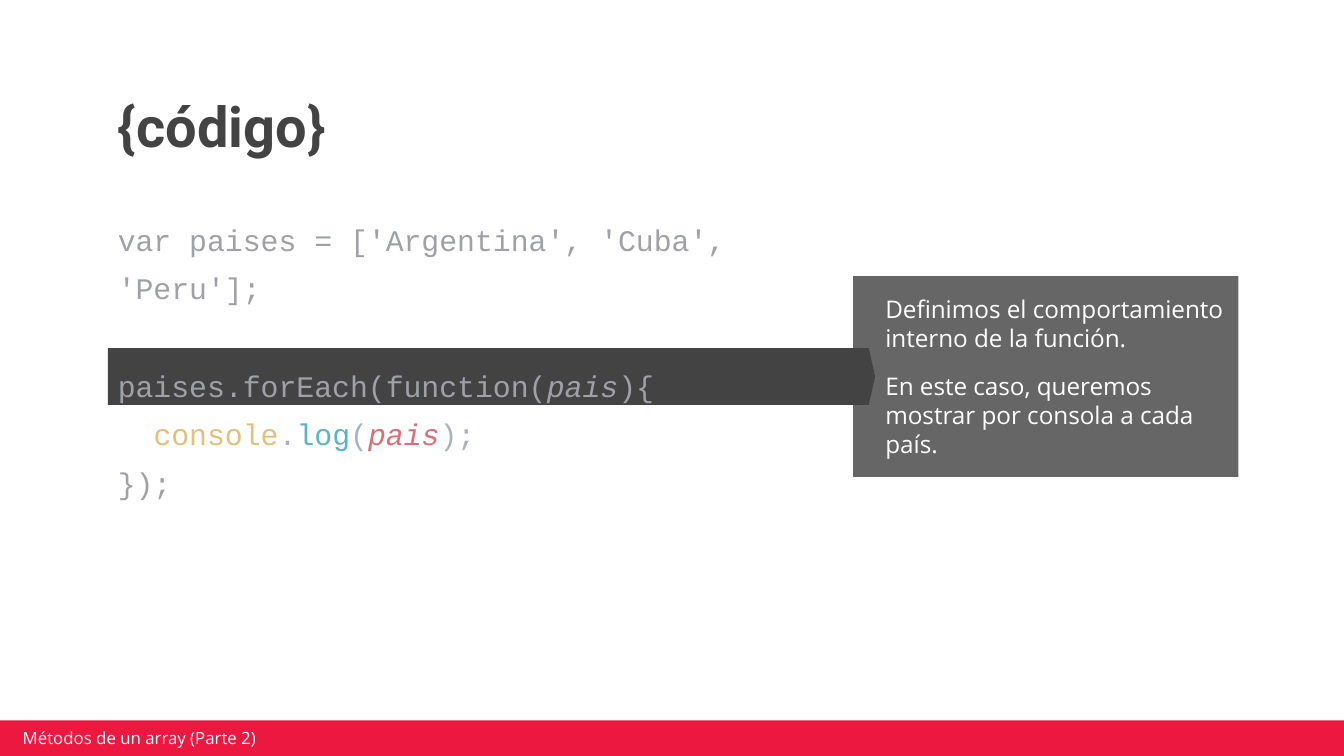
from pptx import Presentation
from pptx.dml.color import RGBColor
from pptx.enum.shapes import MSO_SHAPE
from pptx.enum.text import MSO_ANCHOR, PP_ALIGN
from pptx.util import Pt

RECTANGLE = MSO_SHAPE.RECTANGLE
RIGHT_ARROW = MSO_SHAPE.RIGHT_ARROW
TOP, MIDDLE, BOTTOM = MSO_ANCHOR.TOP, MSO_ANCHOR.MIDDLE, MSO_ANCHOR.BOTTOM
LEFT = PP_ALIGN.LEFT

RED, DARK, GREY, WHITE = "EC183F", "434343", "666666", "FFFFFF"
CODE, PUNCTUATION = "A0A1A7", "ABB2BF"
OBJECT, METHOD, ARGUMENT = "E5C07B", "56B6C2", "E06C75"

TITLE_FONT = {"name": "Roboto", "size": Pt(30), "bold": True}
NOTE_FONT = {"name": "Open Sans", "size": Pt(13)}
FOOTER_FONT = {"name": "Open Sans", "size": Pt(9)}
CODE_FONT = {"name": "Courier New", "size": Pt(16)}

CODE_LINES = [
    [("var paises = ['Argentina', 'Cuba', 'Peru'];", CODE, False)],
    [("paises.forEach(function(", CODE, False), ("pais", CODE, True),
     ("){", CODE, False)],
    [("  ", PUNCTUATION, False), ("console", OBJECT, False),
     (".", PUNCTUATION, False), ("log", METHOD, False),
     ("(", PUNCTUATION, False), ("pais", ARGUMENT, True),
     (");", PUNCTUATION, False)],
    [("});", CODE, False)],
]
NOTE_LINES = [
    "Definimos el comportamiento interno de la función.",
    "En este caso, queremos mostrar por consola a cada país.",
]


def color(value):
    return RGBColor.from_string(value)


def apply(target, values):
    for name, value in values.items():
        setattr(target, name, value)


def add_block(slide, kind, area, fill):
    block = slide.shapes.add_shape(kind, *map(Pt, area))
    block.shadow.inherit = False
    block.fill.solid()
    block.fill.fore_color.rgb = color(fill)
    block.line.fill.background()
    return block


def set_frame(shape, anchor, insets):
    """Wrap the text; insets run left, top, right, bottom."""
    frame = shape.text_frame
    sides = ("margin_left", "margin_top", "margin_right", "margin_bottom")
    apply(frame, {"word_wrap": True, "vertical_anchor": anchor})
    apply(frame, dict(zip(sides, map(Pt, insets))))
    return frame


def add_text_box(slide, area, anchor, insets):
    return set_frame(slide.shapes.add_textbox(*map(Pt, area)), anchor, insets)


def write_lines(frame, lines, font, layout):
    """Write lines made of (text, colour, italic) spans."""
    for index, spans in enumerate(lines):
        para = frame.add_paragraph() if index else frame.paragraphs[0]
        apply(para, {"alignment": LEFT, **layout})
        for text, hue, italic in spans:
            span = para.add_run()
            span.text = text
            apply(span.font, {**font, "italic": italic})
            span.font.color.rgb = color(hue)


def add_title(slide):
    frame = add_text_box(slide, (56, 43, 607, 50), BOTTOM, (7.2,) * 4)
    write_lines(frame, [[("{código}", DARK, False)]], TITLE_FONT,
                {"line_spacing": 0.9})


def add_note(slide):
    note = add_block(slide, RECTANGLE, (457, 148, 206.5, 107.5), GREY)
    frame = set_frame(note, MIDDLE, (17.3, 0, 7.2, 0))
    write_lines(frame, [[(text, WHITE, False)] for text in NOTE_LINES],
                NOTE_FONT, {})
    frame.paragraphs[1].space_before = Pt(10)


def add_highlight(slide):
    arrow = add_block(slide, RIGHT_ARROW, (57.8, 186.5, 411, 30.5), DARK)
    arrow.adjustments[0] = 1
    arrow.adjustments[1] = 0.11


def add_code(slide):
    frame = add_text_box(slide, (56, 93, 400.5, 293), TOP,
                         (7.2, 18.7, 7.2, 7.2))
    write_lines(frame, CODE_LINES, CODE_FONT, {"line_spacing": 1.36})
    frame.paragraphs[1].space_before = Pt(26)


def add_footer(slide):
    frame = add_text_box(slide, (8.6, 390, 172, 11), MIDDLE,
                         (3.6, 1.4, 3.6, 1.4))
    write_lines(frame, [[("Métodos de un array (Parte 2)", WHITE, False)]],
                FOOTER_FONT, {})


def main():
    deck = Presentation()
    deck.slide_width, deck.slide_height = Pt(720), Pt(405)
    page = deck.slides.add_slide(deck.slide_layouts[6])
    add_title(page)
    add_block(page, RECTANGLE, (-1.5, 386, 722, 19.5), RED)
    add_note(page)
    add_highlight(page)
    add_code(page)
    add_footer(page)
    deck.save("out.pptx")


if __name__ == "__main__":
    main()
